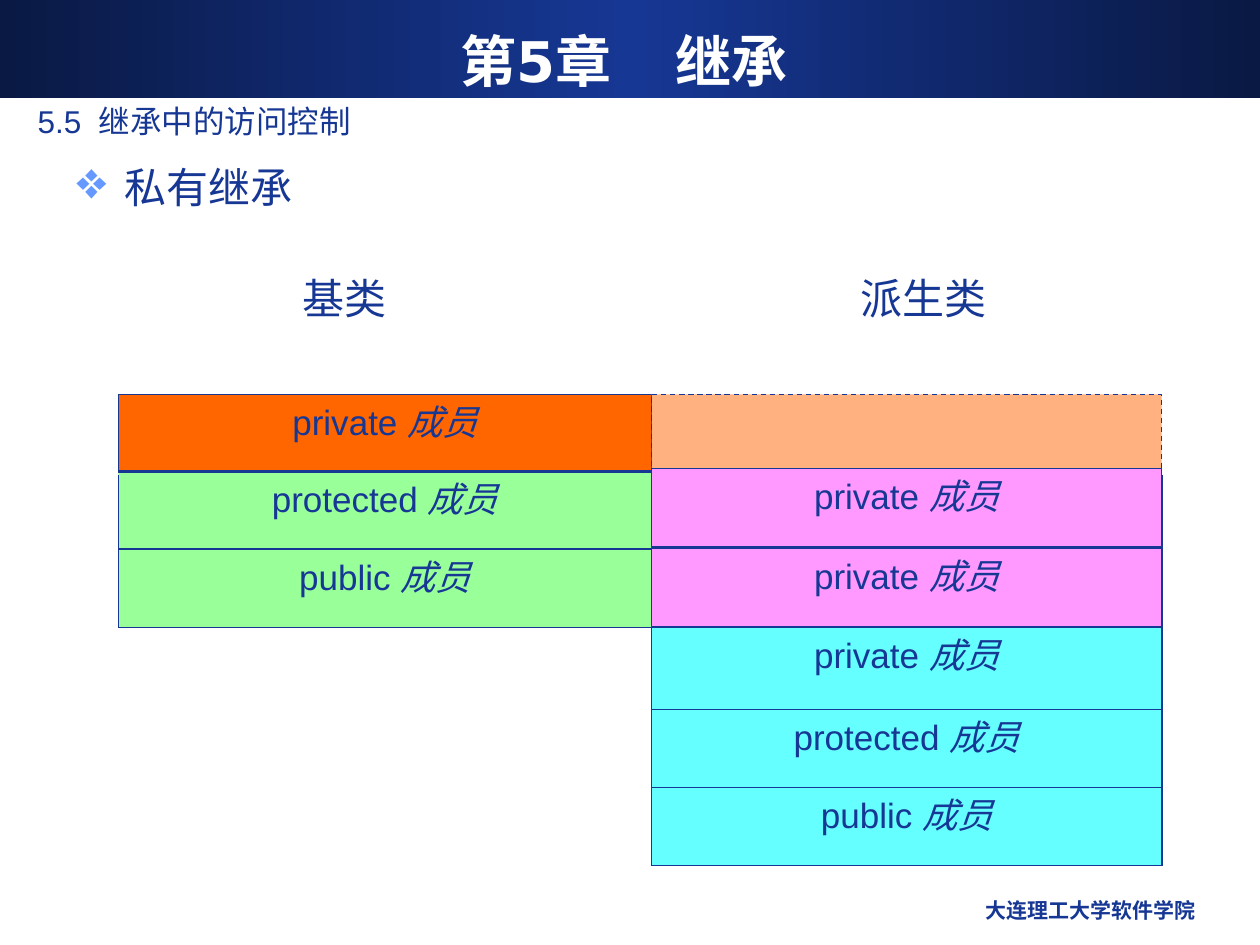
from copy import deepcopy

from pptx import Presentation
from pptx import util as u
from pptx.dml.color import RGBColor
from pptx.enum import dml, shapes, text
from pptx.oxml import ns, xmlchemy

NAVY = RGBColor(0x16, 0x37, 0x94)
DARK = RGBColor(0x0A, 0x19, 0x44)
WHITE = RGBColor(0xFF, 0xFF, 0xFF)
ORANGE = RGBColor(0xFF, 0x66, 0x00)
GREEN = RGBColor(0x99, 0xFF, 0x99)
CYAN = RGBColor(0x66, 0xFF, 0xFF)
PINK = RGBColor(0xFF, 0x99, 0xFF)
BULLET_BLUE = RGBColor(0x66, 0x99, 0xFF)

LEFT, MIDDLE, RIGHT = 0.94, 5.17, 9.22
ROW = 0.62
BASE_TOP, NEW_TOP = 3.13, 4.98


def child(parent, tag, **attributes):
    element = xmlchemy.OxmlElement(tag)
    for name, value in attributes.items():
        element.set(name, value)
    parent.append(element)
    return element


class Slide:
    """The current page and the style shared by its elements."""

    font, ink = "Arial", NAVY

    def __init__(self, deck):
        self.page = deck.slides.add_slide(deck.slide_layouts[6])

    def style(self, span, size, font=None, color=None, bold=False, italic=False):
        span.font.name = font or self.font
        span.font.size = u.Pt(size)
        span.font.color.rgb = color or self.ink
        span.font.bold, span.font.italic = bold, italic

    def label(self, area, words, size, align=text.PP_ALIGN.LEFT, gap=0,
              anchor=text.MSO_ANCHOR.TOP, wrap=True, **look):
        """Add a text box; gap widens the space between words, in points."""
        box = self.page.shapes.add_textbox(*map(u.Inches, area))
        frame = box.text_frame
        frame.word_wrap, frame.vertical_anchor = wrap, anchor
        if not wrap:
            frame.auto_size = text.MSO_AUTO_SIZE.SHAPE_TO_FIT_TEXT
        para = frame.paragraphs[0]
        para.alignment = align
        for part in words.partition(" "):
            if part:
                span = para.add_run()
                span.text = part
                self.style(span, size, **look)
                if part == " ":
                    span.font._element.set("spc", str(gap * 100))
        return para

    def bullet(self, area, words, size):
        para = self.label(area, words, size)
        props = para._p.get_or_add_pPr()
        props.set("marL", str(u.Inches(0.38)))
        props.set("indent", str(-u.Inches(0.38)))
        child(child(props, "a:buClr"), "a:srgbClr", val=str(BULLET_BLUE))
        child(props, "a:buSzPct", val="125000")
        child(props, "a:buChar", char="❖")

    def rect(self, area, fill=None, outline=False):
        box = self.page.shapes.add_shape(
            shapes.MSO_SHAPE.RECTANGLE, *map(u.Inches, area))
        box.shadow.inherit = False
        if fill is not None:
            box.fill.solid()
            box.fill.fore_color.rgb = fill
        if outline:
            box.line.color.rgb = self.ink
            box.line.width = u.Pt(0.75)
        else:
            box.line.fill.background()
        return box

    def banner(self, area):
        box = self.rect(area)
        box.fill.gradient()
        box.fill.gradient_angle = 0
        last = box._element.spPr.findall(".//" + ns.qn("a:gs"))[-1]
        last.addnext(deepcopy(last))
        for stop, place, color in zip(box.fill.gradient_stops, (0, 0.5, 1),
                                      (DARK, NAVY, DARK)):
            stop.position = place
            stop.color.rgb = color

    def member(self, area, access, fill, outline=False):
        frame = self.rect(area, fill, outline).text_frame
        frame.word_wrap, frame.vertical_anchor = True, text.MSO_ANCHOR.TOP
        para = frame.paragraphs[0]
        para.alignment = text.PP_ALIGN.CENTER
        for words, italic in ((access + " ", False), ("成员", True)):
            span = para.add_run()
            span.text = words
            self.style(span, 20, italic=italic)

    def ghost(self, area, fill):
        """Add a dashed, half transparent rectangle."""
        box = self.rect(area, fill, outline=True)
        box.line.dash_style = dml.MSO_LINE.DASH
        color = box._element.spPr.find(ns.qn("a:solidFill"))[0]
        child(color, "a:alpha", val="50000")

    def line(self, *ends):
        rule = self.page.shapes.add_connector(
            shapes.MSO_CONNECTOR.STRAIGHT, *map(u.Inches, ends))
        rule.line.color.rgb = self.ink
        rule.line.width = u.Pt(1)
        child(rule._element.spPr, "a:effectLst")


def main():
    deck = Presentation()
    deck.slide_width, deck.slide_height = u.Inches(10), u.Inches(7.5)
    slide = Slide(deck)

    # Title, section, topic and footer
    slide.banner((0, 0, 10, 0.78))
    slide.label((0.33, 0.17, 9.25, 0.62), "第5章 继承", 32, text.PP_ALIGN.CENTER,
                gap=29, anchor=text.MSO_ANCHOR.MIDDLE, font="DejaVu Sans",
                color=WHITE, bold=True)
    slide.bullet((0.51, 1.23, 9, 5.74), "私有继承", 24)
    slide.label((6.42, 7.07, 3.17, 0.35), "大连理工大学软件学院", 12,
                text.PP_ALIGN.RIGHT, bold=True)
    slide.label((0.2, 0.76, 9.25, 0.41), "5.5 继承中的访问控制", 18, gap=5)

    # Base class members
    base_width, derived_width = MIDDLE - LEFT, RIGHT - MIDDLE
    for top, access, fill in ((4.36, "public", GREEN), (3.74, "protected", GREEN),
                              (BASE_TOP, "private", ORANGE)):
        slide.member((LEFT, top, base_width, ROW), access, fill, fill == ORANGE)
    for y in (3.74, 4.36, NEW_TOP):
        slide.line(LEFT, y, RIGHT, y)
    for x in (LEFT, RIGHT):
        slide.line(x, 3.77, x, NEW_TOP)

    # Members added by the derived class
    edges = (NEW_TOP, 5.63, 6.25, 6.87)
    for access, top, bottom in zip(("private", "protected", "public"),
                                   edges, edges[1:]):
        slide.member((MIDDLE, top, derived_width, bottom - top), access, CYAN)
    for y in edges:
        slide.line(MIDDLE, y, RIGHT, y)
    for x in (RIGHT, MIDDLE):
        slide.line(x, edges[0], x, edges[-1])

    # Column headings, with room for each on one line
    for x, width, words in ((2.3, 0.9, "基类"), (6.73, 1.23, "派生类")):
        slide.label((x, 2.11, width, 0.5), words, 24, wrap=False,
                    font="Times New Roman")

    # Inherited members
    slide.ghost((MIDDLE, BASE_TOP, derived_width, ROW), ORANGE)
    for top in (3.72, 4.35):
        slide.member((MIDDLE, top, derived_width, ROW), "private", PINK, True)

    deck.save("out.pptx")


if __name__ == "__main__":
    main()
